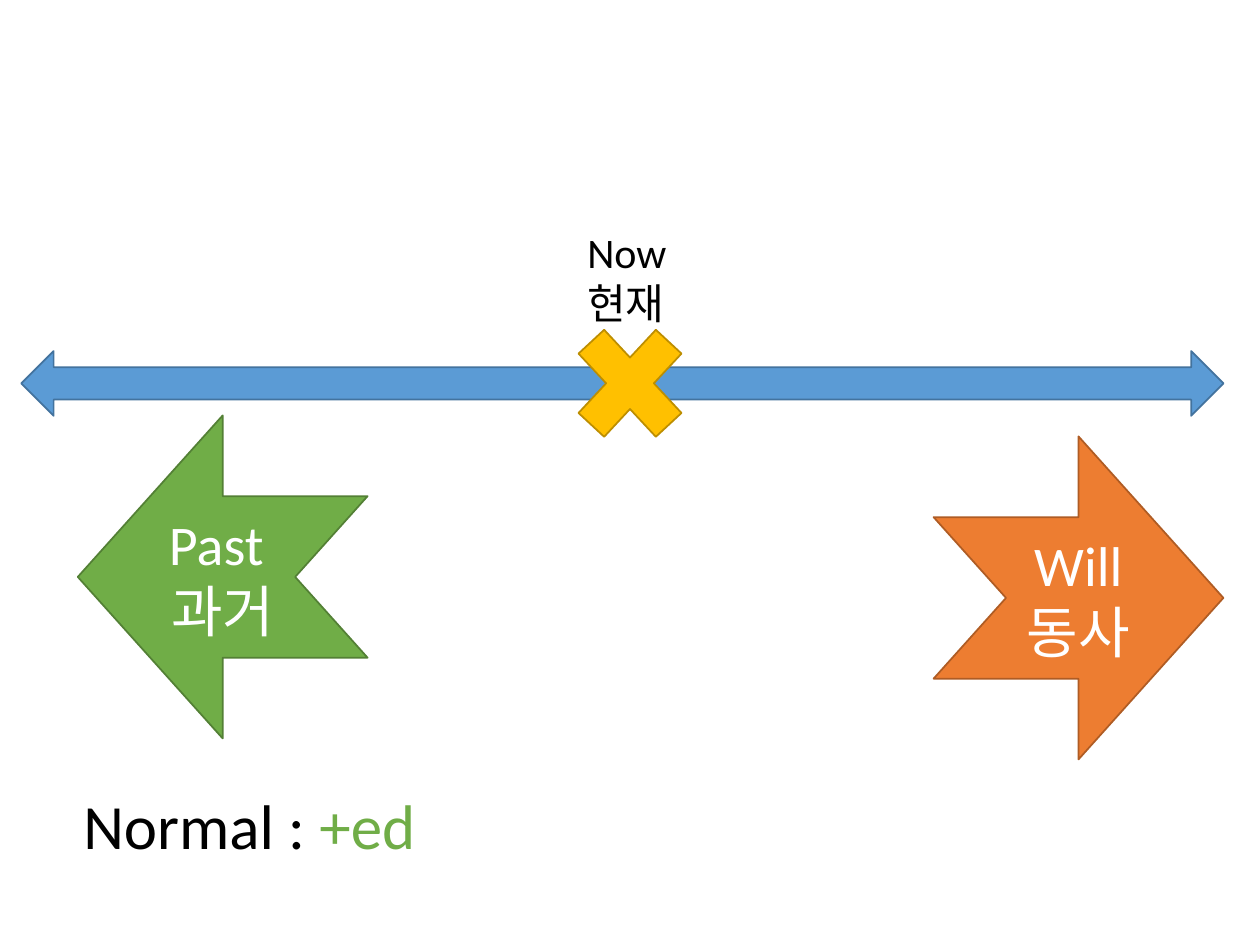
from dataclasses import dataclass

from pptx import Presentation
from pptx.dml.color import RGBColor
from pptx.enum.shapes import MSO_SHAPE
from pptx.enum.text import MSO_ANCHOR, MSO_AUTO_SIZE, PP_ALIGN
from pptx.util import Pt

TIMELINE = MSO_SHAPE.LEFT_RIGHT_ARROW
CROSS = MSO_SHAPE.MATH_MULTIPLY
NOTCHED_ARROW = MSO_SHAPE.NOTCHED_RIGHT_ARROW
MIDDLE = MSO_ANCHOR.MIDDLE
CENTER = PP_ALIGN.CENTER
FIT_SHAPE = MSO_AUTO_SIZE.SHAPE_TO_FIT_TEXT


@dataclass(frozen=True)
class Theme:
    font: str = "Calibri"
    black: str = "000000"
    white: str = "FFFFFF"
    # Fill and outline pairs
    blue: tuple = ("5B9BD5", "43739E")
    gold: tuple = ("FFC000", "BD8E00")
    green: tuple = ("70AD47", "538035")
    orange: tuple = ("ED7D31", "AF5C24")
    now_size: int = 24
    arrow_size: int = 32
    rule_size: int = 36


class TenseSlide:
    def __init__(self, slide, theme):
        self.shapes = slide.shapes
        self.theme = theme

    def add_text(self, frame, paragraphs, size, align=None):
        """Each paragraph is a list of (text, colour) runs."""
        for index, runs in enumerate(paragraphs):
            paragraph = frame.add_paragraph() if index else frame.paragraphs[0]
            paragraph.alignment = align
            paragraph.font.name = self.theme.font
            paragraph.font.size = Pt(size)
            for text, color in runs:
                run = paragraph.add_run()
                run.text = text
                run.font.color.rgb = RGBColor.from_string(color)

    def shape(self, kind, box, colors, lines=(), flip=False):
        shape = self.shapes.add_shape(kind, *map(Pt, box))
        fill, outline = map(RGBColor.from_string, colors)
        shape.shadow.inherit = False
        shape.fill.solid()
        shape.fill.fore_color.rgb = fill
        shape.line.color.rgb = outline
        shape.line.width = Pt(1)
        if flip:
            shape.element.spPr.xfrm.set("flipH", "1")
        if lines:
            shape.text_frame.vertical_anchor = MIDDLE
            self.add_text(shape.text_frame, [[(line, self.theme.white)] for line in lines],
                          self.theme.arrow_size, CENTER)

    def label(self, box, paragraphs, size):
        frame = self.shapes.add_textbox(*map(Pt, box)).text_frame
        frame.word_wrap = False
        frame.auto_size = FIT_SHAPE
        self.add_text(frame, paragraphs, size)


def main():
    theme = Theme()
    deck = Presentation()
    deck.slide_width, deck.slide_height = Pt(720), Pt(540)
    tenses = TenseSlide(deck.slides.add_slide(deck.slide_layouts[6]), theme)

    # Timeline with the present marked on it
    tenses.shape(TIMELINE, (12.2, 200.6, 687, 37), theme.blue)
    tenses.shape(CROSS, (317.5, 173.3, 85, 91.5), theme.gold)

    # Past and future arrows
    arrow_width, arrow_height = 165.6, 184.6
    tenses.shape(NOTCHED_ARROW, (44.5, 237.4, arrow_width, arrow_height),
                 theme.green, ["Past ", "과거"], flip=True)
    tenses.shape(NOTCHED_ARROW, (533.5, 249.4, arrow_width, arrow_height),
                 theme.orange, ["Will 동사"])

    # Past tense rule and the label of the present
    tenses.label((40.5, 445.7, 206, 51),
                 [[("Normal : ", theme.black), ("+ed", theme.green[0])]], theme.rule_size)
    tenses.label((328.5, 126, 63.4, 65.5),
                 [[("Now", theme.black)], [("현재", theme.black)]], theme.now_size)

    deck.save("out.pptx")


if __name__ == "__main__":
    main()
